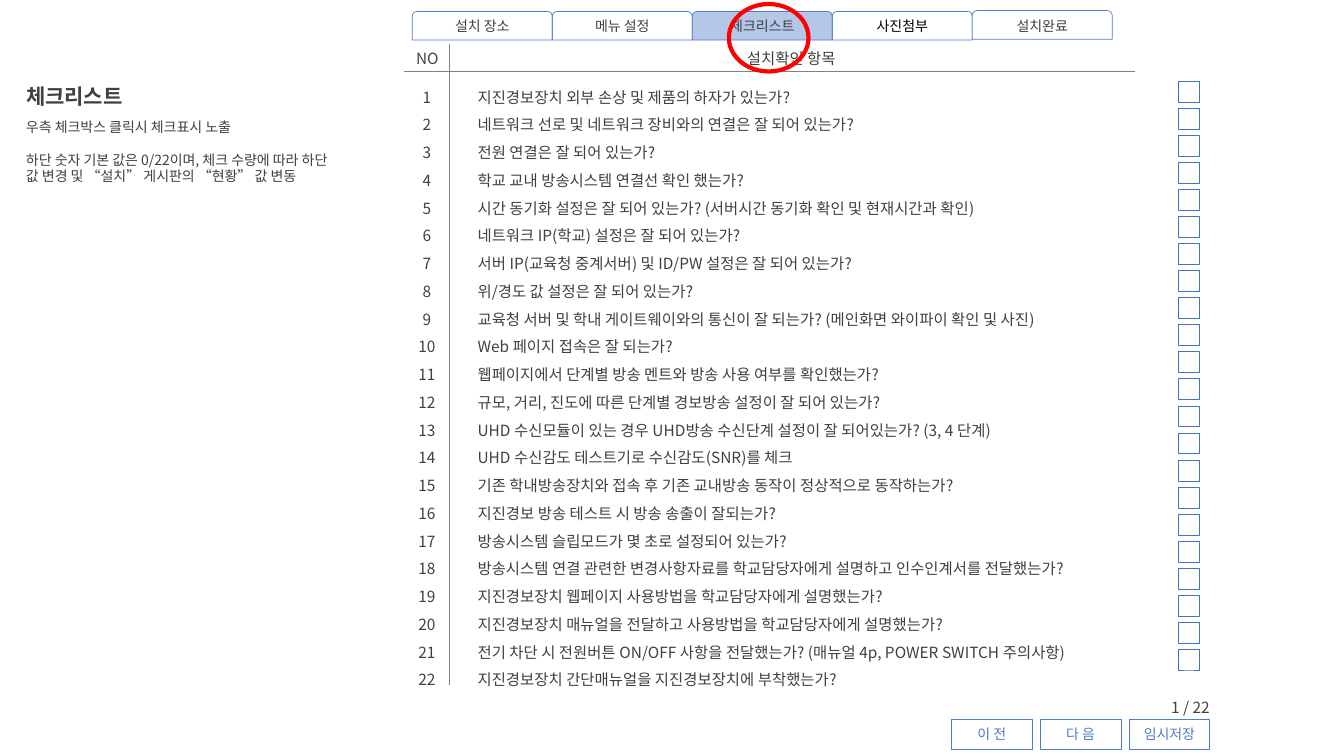
from pptx import Presentation
from pptx import util as u
from pptx.dml.color import RGBColor
from pptx.enum import shapes, text
from pptx.oxml.ns import qn
from lxml import etree

FONT = "Noto Sans CJK KR"
COLORS = {
    "ink": "404040", "black": "000000", "white": "FFFFFF", "rule": "808080",
    "box": "4472C4", "button": "507BC8", "active": "B4C7E7", "mark": "FF0000",
}

QUESTIONS = [
    "지진경보장치 외부 손상 및 제품의 하자가 있는가?",
    "네트워크 선로 및 네트워크 장비와의 연결은 잘 되어 있는가?",
    "전원 연결은 잘 되어 있는가?",
    "학교 교내 방송시스템 연결선 확인 했는가?",
    "시간 동기화 설정은 잘 되어 있는가? (서버시간 동기화 확인 및 현재시간과 확인)",
    "네트워크 IP(학교) 설정은 잘 되어 있는가?",
    "서버 IP(교육청 중계서버) 및 ID/PW 설정은 잘 되어 있는가?",
    "위/경도 값 설정은 잘 되어 있는가?",
    "교육청 서버 및 학내 게이트웨이와의 통신이 잘 되는가? (메인화면 와이파이 확인 및 사진)",
    "Web 페이지 접속은 잘 되는가?",
    "웹페이지에서 단계별 방송 멘트와 방송 사용 여부를 확인했는가?",
    "규모, 거리, 진도에 따른 단계별 경보방송 설정이 잘 되어 있는가?",
    "UHD 수신모듈이 있는 경우 UHD방송 수신단계 설정이 잘 되어있는가? (3, 4 단계)",
    "UHD 수신감도 테스트기로 수신감도(SNR)를 체크",
    "기존 학내방송장치와 접속 후 기존 교내방송 동작이 정상적으로 동작하는가?",
    "지진경보 방송 테스트 시 방송 송출이 잘되는가?",
    "방송시스템 슬립모드가 몇 초로 설정되어 있는가?",
    "방송시스템 연결 관련한 변경사항자료를 학교담당자에게 설명하고 인수인계서를 전달했는가?",
    "지진경보장치 웹페이지 사용방법을 학교담당자에게 설명했는가?",
    "지진경보장치 매뉴얼을 전달하고 사용방법을 학교담당자에게 설명했는가?",
    "전기 차단 시 전원버튼 ON/OFF 사항을 전달했는가? (매뉴얼 4p, POWER SWITCH 주의사항)",
    "지진경보장치 간단매뉴얼을 지진경보장치에 부착했는가?",
]
NUMBERS = [str(number) for number in range(1, len(QUESTIONS) + 1)]
NOTES = [
    "우측 체크박스 클릭시 체크표시 노출",
    "하단 숫자 기본 값은 0/22이며, 체크 수량에 따라 하단 값 변경 및 “설치” 게시판의 “현황” 값 변동",
]
# label, top, fill, text colour
TABS = [
    ("설치 장소", 8.2, None, "ink"),
    ("메뉴 설정", 8.2, None, "ink"),
    ("체크리스트", 8.2, "active", "ink"),
    ("사진첨부", 8.2, None, "black"),
    ("설치완료", 7.6, "white", "ink"),
]
BUTTONS = ["이 전", "다 음", "임시저장"]
HEADERS = [("NO", (288, 31, 34.6, 20.9)), ("설치확인 항목", (337, 31, 456.5, 20.9))]
RULES = [(288.7, 50.7, 810.7, 50.7), (321.1, 489.6, 321.1, 31.7)]

LIST_TOP, LIST_HEIGHT, LIST_PITCH = 52.6, 444.2, 19.8
CHECK_LEFT, CHECK_TOP, CHECK_SIZE, CHECK_PITCH = 841.7, 58.3, 15, 19.3
TAB_LEFT, TAB_WIDTH, TAB_HEIGHT = 294.5, 100, 20.4
BUTTON_LEFT, BUTTON_TOP, BUTTON_PITCH = 679.7, 514.1, 63.4

CENTER, LEFT, RIGHT = text.PP_ALIGN.CENTER, text.PP_ALIGN.LEFT, text.PP_ALIGN.RIGHT
TOP, MIDDLE = text.MSO_ANCHOR.TOP, text.MSO_ANCHOR.MIDDLE

presentation = Presentation()
presentation.slide_width, presentation.slide_height = u.Pt(960), u.Pt(540)
slide = presentation.slides.add_slide(presentation.slide_layouts[6])


def rgb(name):
    return RGBColor.from_string(COLORS[name])


def write(shape, lines, size=11, color="ink", bold=False, align=CENTER,
          anchor=MIDDLE, pitch=None, gap=0):
    """Fill a shape with one paragraph per line; pitch is the line height."""
    frame = shape.text_frame
    frame.word_wrap = True
    frame.vertical_anchor = anchor
    for index, line in enumerate(lines):
        paragraph = frame.add_paragraph() if index else frame.paragraphs[0]
        paragraph.alignment = align
        paragraph.line_spacing = u.Pt(pitch or 1.2 * size)
        paragraph.space_before = u.Pt(gap if index else 0)
        run = paragraph.add_run()
        run.text = line
        font = run.font
        font.name, font.size, font.bold = FONT, u.Pt(size), bold
        font.color.rgb = rgb(color)
        east_asian = etree.SubElement(font._element, qn("a:ea"))
        east_asian.set("typeface", FONT)


def add_text(box, lines, **style):
    write(slide.shapes.add_textbox(*map(u.Pt, box)), lines, **style)


def add_box(kind, box, line, width=0.5, fill=None):
    shape = slide.shapes.add_shape(kind, *map(u.Pt, box))
    shape.shadow.inherit = False
    if fill:
        shape.fill.solid()
        shape.fill.fore_color.rgb = rgb(fill)
    else:
        shape.fill.background()
    shape.line.color.rgb = rgb(line)
    shape.line.width = u.Pt(width)
    return shape


def add_rule(ends):
    rule = slide.shapes.add_connector(shapes.MSO_CONNECTOR.STRAIGHT, *map(u.Pt, ends))
    rule.line.color.rgb = rgb("rule")
    rule.line.width = u.Pt(0.5)
    etree.SubElement(rule._element.spPr, qn("a:effectLst"))


def main():
    kinds = shapes.MSO_SHAPE
    add_text((334.1, LIST_TOP, 492.5, LIST_HEIGHT), QUESTIONS,
             align=LEFT, anchor=TOP, pitch=LIST_PITCH)
    for row in range(len(QUESTIONS)):
        top = CHECK_TOP + row * CHECK_PITCH
        add_box(kinds.RECTANGLE, (CHECK_LEFT, top, CHECK_SIZE, CHECK_SIZE), "box")
    add_text((290.2, LIST_TOP, 29.5, LIST_HEIGHT), NUMBERS, anchor=TOP, pitch=LIST_PITCH)

    for label, box in HEADERS:
        write(add_box(kinds.RECTANGLE, box, "white", 0.75), [label])
    for ends in RULES:
        add_rule(ends)

    add_text((826.6, 494.6, 44.6, 20.9), ["1 / 22"], align=RIGHT)
    add_text((11.5, 56.2, 92.2, 25.2), ["체크리스트"], size=15, bold=True, align=LEFT)
    add_text((11.5, 81.4, 234.7, 55.4), NOTES, size=10, align=LEFT, anchor=TOP, gap=11)

    for index, label in enumerate(BUTTONS):
        left = BUTTON_LEFT + index * BUTTON_PITCH
        button = add_box(kinds.RECTANGLE, (left, BUTTON_TOP, 57.6, 20.9), "button", fill="white")
        write(button, [label], size=10, color="button")

    for index, (label, top, fill, color) in enumerate(TABS):
        left = TAB_LEFT + index * TAB_WIDTH
        tab = add_box(kinds.ROUND_2_SAME_RECTANGLE, (left, top, TAB_WIDTH, TAB_HEIGHT),
                      "button", fill=fill)
        write(tab, [label], size=10, color=color)
    add_box(kinds.OVAL, (520.6, 2.9, 56.9, 48.2), "mark", 3)

    presentation.save("out.pptx")


if __name__ == "__main__":
    main()
